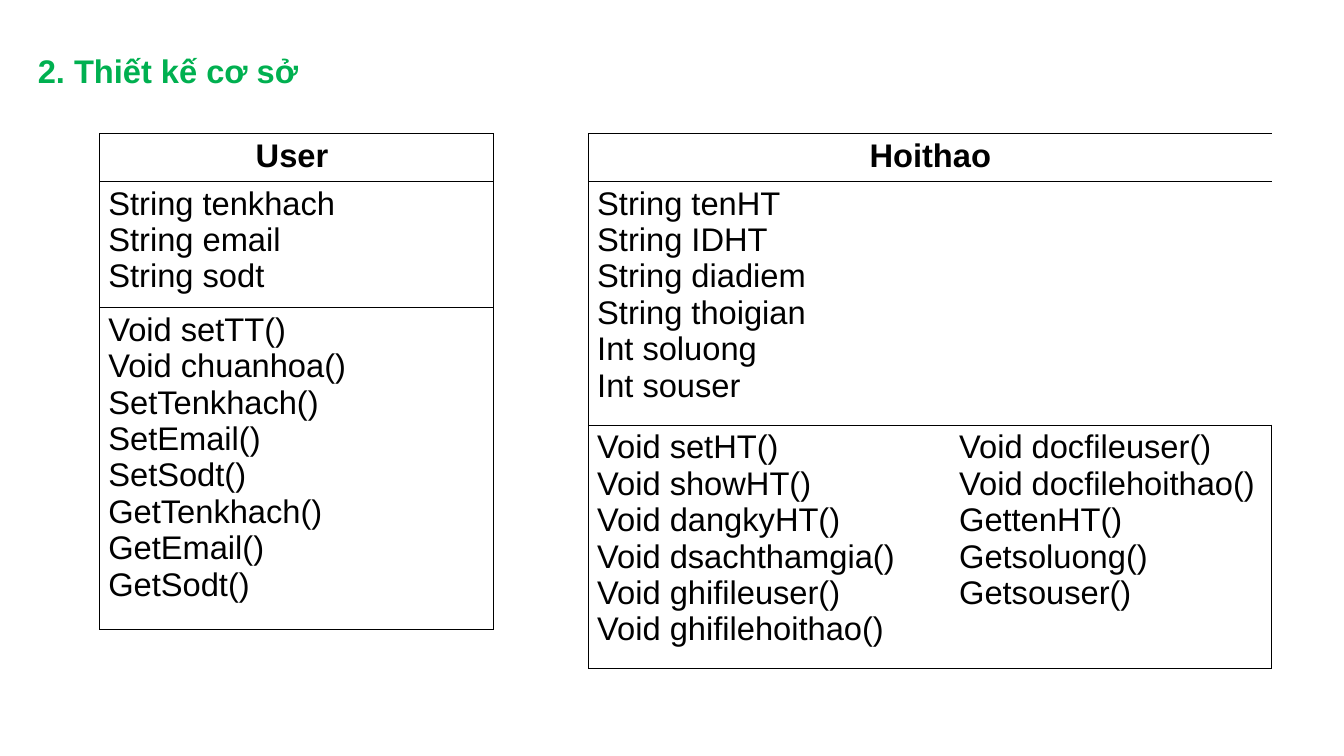
"""Build a slide with two class diagrams drawn as tables."""
from dataclasses import dataclass

import lxml.etree
import pptx
import pptx.dml.color
import pptx.enum.text
import pptx.oxml.ns
import pptx.util


@dataclass(frozen=True)
class Theme:
    """Colours, font and sizes of the slide."""
    heading: str = "00B050"
    ink: str = "000000"
    font: str = "Arial"
    size: float = 28
    border: float = 1


@dataclass(frozen=True)
class Box:
    """A rectangle in inches."""
    left: float
    top: float
    width: float
    height: float

    def lengths(self):
        """Return the four lengths in slide units."""
        return [pptx.util.Inches(n) for n in (self.left, self.top, self.width, self.height)]


THEME = Theme()
SLIDE = Box(0, 0, 16, 9)
TITLE_BOX = Box(0.45, 0.43, 5.6, 0.66)
USER_BOX = Box(1.19, 1.59, 4.68, 5.9)
SEMINAR_BOX = Box(7.01, 1.59, 8.13, 6.37)
NAME_HEIGHT = 0.57

USER_FIELDS = ["String tenkhach", "String email", "String sodt"]
USER_METHODS = [[
    "Void setTT()", "Void chuanhoa()", "SetTenkhach()", "SetEmail()",
    "SetSodt()", "GetTenkhach()", "GetEmail()", "GetSodt()",
]]
SEMINAR_FIELDS = [
    "String tenHT", "String IDHT", "String diadiem",
    "String thoigian", "Int soluong", "Int souser",
]
SEMINAR_METHODS = [
    ["Void setHT()", "Void showHT()", "Void dangkyHT()",
     "Void dsachthamgia()", "Void ghifileuser()", "Void ghifilehoithao()"],
    ["Void docfileuser()", "Void docfilehoithao()", "GettenHT()",
     "Getsoluong()", "Getsouser()"],
]


def write(text_frame, lines, color, bold=False, align=pptx.enum.text.PP_ALIGN.LEFT):
    """Write one paragraph per line and format its runs."""
    text_frame.text = "\n".join(lines)
    for para in text_frame.paragraphs:
        para.alignment = align
        for span in para.runs:
            span.font.name = THEME.font
            span.font.size = pptx.util.Pt(THEME.size)
            span.font.bold = bold
            span.font.color.rgb = pptx.dml.color.RGBColor.from_string(color)


def outline(cell, drawn):
    """Draw the named sides of a cell and hide the others."""
    qn = pptx.oxml.ns.qn
    properties = cell._tc.get_or_add_tcPr()
    for side in "LRTB":
        line = lxml.etree.SubElement(properties, qn(f"a:ln{side}"))
        if side in drawn:
            line.set("w", str(pptx.util.Pt(THEME.border)))
            fill = lxml.etree.SubElement(line, qn("a:solidFill"))
            lxml.etree.SubElement(fill, qn("a:srgbClr")).set("val", THEME.ink)
        else:
            lxml.etree.SubElement(line, qn("a:noFill"))
    cell.fill.background()


def add_title(page, box, text):
    """Place the slide heading in its box."""
    text_frame = page.shapes.add_textbox(*box.lengths()).text_frame
    text_frame.word_wrap = True
    text_frame.margin_left = text_frame.margin_right = text_frame.margin_bottom = 0
    text_frame.margin_top = pptx.util.Inches(0.18)
    write(text_frame, [text], THEME.heading, bold=True)


def add_class(page, box, name, fields, methods, field_height, shares):
    """Place a class as rows for its name, fields and columns of methods."""
    last = len(methods) - 1
    table = page.shapes.add_table(3, len(methods), *box.lengths()).table
    heights = [NAME_HEIGHT, field_height, box.height - NAME_HEIGHT - field_height]
    for row, height in zip(table.rows, heights):
        row.height = pptx.util.Inches(height)
    for column, share in zip(table.columns, shares):
        column.width = pptx.util.Inches(box.width * share)
    for row in range(3):
        for column in range(last + 1):
            sides = "TB" + "L" * (column == 0) + "R" * (column == last)
            outline(table.cell(row, column), sides)
    if last:
        for row in range(2):
            table.cell(row, 0).merge(table.cell(row, last))
    write(table.cell(0, 0).text_frame, [name], THEME.ink, True, pptx.enum.text.PP_ALIGN.CENTER)
    write(table.cell(1, 0).text_frame, fields, THEME.ink)
    for column, lines in enumerate(methods):
        write(table.cell(2, column).text_frame, lines, THEME.ink)


def main():
    """Build and save the deck."""
    deck = pptx.Presentation()
    deck.slide_width, deck.slide_height = SLIDE.lengths()[2:]
    page = deck.slides.add_slide(deck.slide_layouts[6])
    add_title(page, TITLE_BOX, "2. Thiết kế cơ sở")
    add_class(page, USER_BOX, "User ", USER_FIELDS, USER_METHODS, 1.5, [1])
    add_class(page, SEMINAR_BOX, "Hoithao", SEMINAR_FIELDS, SEMINAR_METHODS, 2.9, [0.53, 0.47])
    deck.save("out.pptx")


if __name__ == "__main__":
    main()
